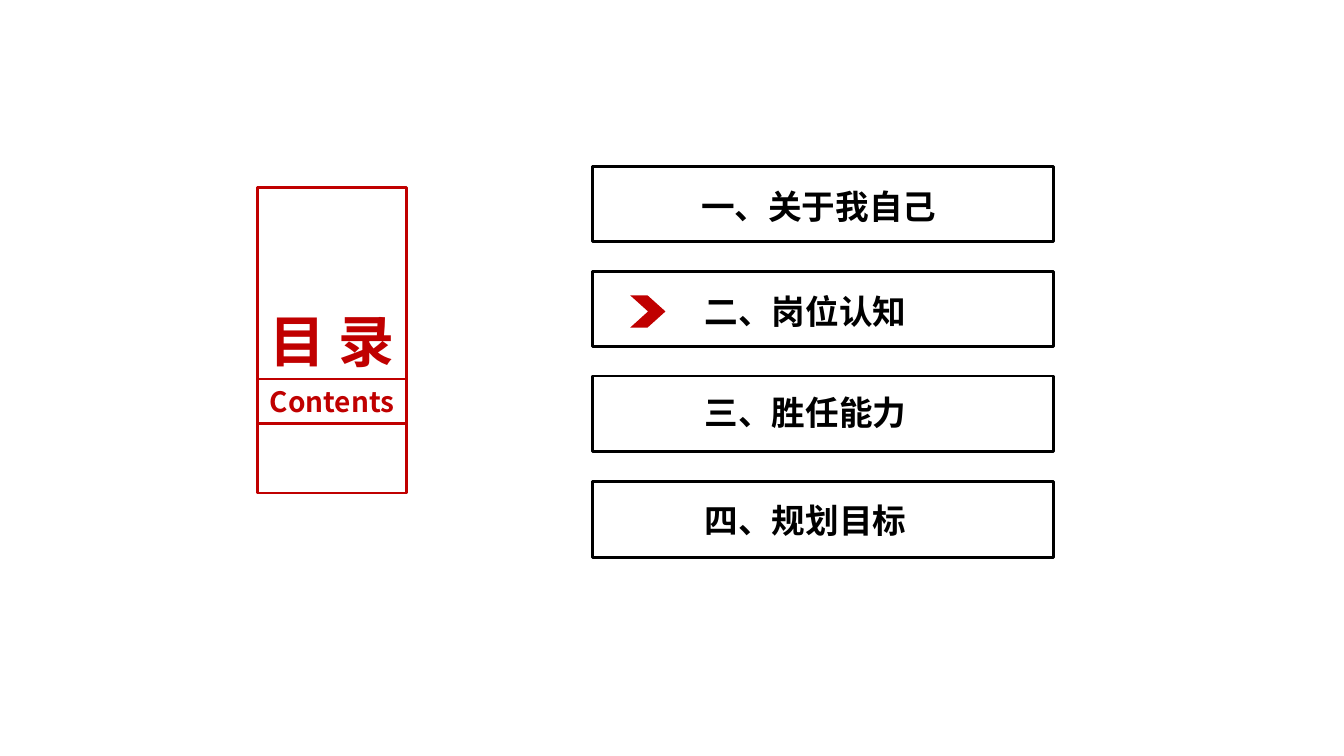
from lxml.etree import SubElement
from pptx import Presentation
from pptx.dml.color import RGBColor
from pptx.enum.shapes import MSO_SHAPE as Shape
from pptx.enum.text import MSO_ANCHOR as Anchor, MSO_AUTO_SIZE as AutoSize, PP_ALIGN as Align
from pptx.oxml.ns import qn
from pptx.util import Pt

EMU_PER_PX = 9144  # 100 px to the inch


def px(length):
    return length * EMU_PER_PX


def color(hex_code):
    return RGBColor.from_string(hex_code)


class ContentsSlide:
    FONT = "Noto Sans CJK SC"
    RED, BLACK, WHITE = "C00000", "000000", "FFFFFF"

    def __init__(self, slide):
        self.slide = slide

    def paint(self, shape, fill, line=None):
        shape.fill.solid()
        shape.fill.fore_color.rgb = color(fill)
        if line:
            shape.line.color.rgb = color(line)
            shape.line.width = Pt(2)
        else:
            shape.line.fill.background()

    def set_text(self, shape, text, size, ink, margins):
        """Put one centred bold line into the shape; margins are (side, top and bottom)."""
        frame = shape.text_frame
        frame.margin_left = frame.margin_right = px(margins[0])
        frame.margin_top = frame.margin_bottom = px(margins[1])
        frame.word_wrap = False
        frame.auto_size = AutoSize.SHAPE_TO_FIT_TEXT
        frame.text = text
        paragraph = frame.paragraphs[0]
        paragraph.alignment = Align.CENTER
        font = paragraph.font
        font.name, font.size, font.bold = self.FONT, Pt(size), True
        font.color.rgb = color(ink)
        defaults = paragraph._p.pPr.find(qn("a:defRPr"))
        SubElement(defaults, qn("a:ea")).set("typeface", self.FONT)

    def title(self, text, left, top, width, height):
        heading = self.slide.shapes.title
        heading.left, heading.top = px(left), px(top)
        heading.width, heading.height = px(width), px(height)
        self.paint(heading, self.WHITE, self.RED)
        self.set_text(heading, text, 40, self.RED, (10, 5))
        heading.text_frame.vertical_anchor = Anchor.MIDDLE

    def shape(self, kind, left, top, width, height, fill, line=None):
        shape = self.slide.shapes.add_shape(kind, px(left), px(top), px(width), px(height))
        shape.shadow.inherit = False
        self.paint(shape, fill, line)
        return shape

    def subtitle(self, text, left, top, width, height):
        box = self.shape(Shape.RECTANGLE, left, top, width, height, self.WHITE, self.RED)
        self.set_text(box, text, 20, self.RED, (10, 5))

    def label(self, text, left, top, width, height):
        box = self.slide.shapes.add_textbox(px(left), px(top), px(width), px(height))
        self.set_text(box, text, 24, self.BLACK, (6, 3))

    def current_marker(self, left, top, width, height):
        marker = self.shape(Shape.CHEVRON, left, top, width, height, self.RED)
        marker.adjustments[0] = 0.555


def main():
    presentation = Presentation()
    presentation.slide_width, presentation.slide_height = px(1333), px(750)
    title_only = presentation.slide_layouts[5]
    contents = ContentsSlide(presentation.slides.add_slide(title_only))

    contents.title("目 录", 255, 299, 148, 77)
    contents.subtitle("Contents", 256, 376, 147, 44)

    chapters = [
        ("一、关于我自己", 688, 181, 248),
        ("二、岗位认知", 692, 286, 214),
        ("三、胜任能力", 692, 386, 214),
        ("四、规划目标", 692, 493, 214),
    ]
    first_top, last_top = 165, 478
    for index, (chapter, left, top, width) in enumerate(chapters):
        box_top = first_top + (last_top - first_top) * index // (len(chapters) - 1)
        contents.shape(Shape.RECTANGLE, 588, box_top, 457, 75, contents.WHITE, contents.BLACK)
        contents.label(chapter, left, top, width, 46)
    contents.current_marker(625, 293, 35, 32)

    presentation.save("out.pptx")


if __name__ == "__main__":
    main()
